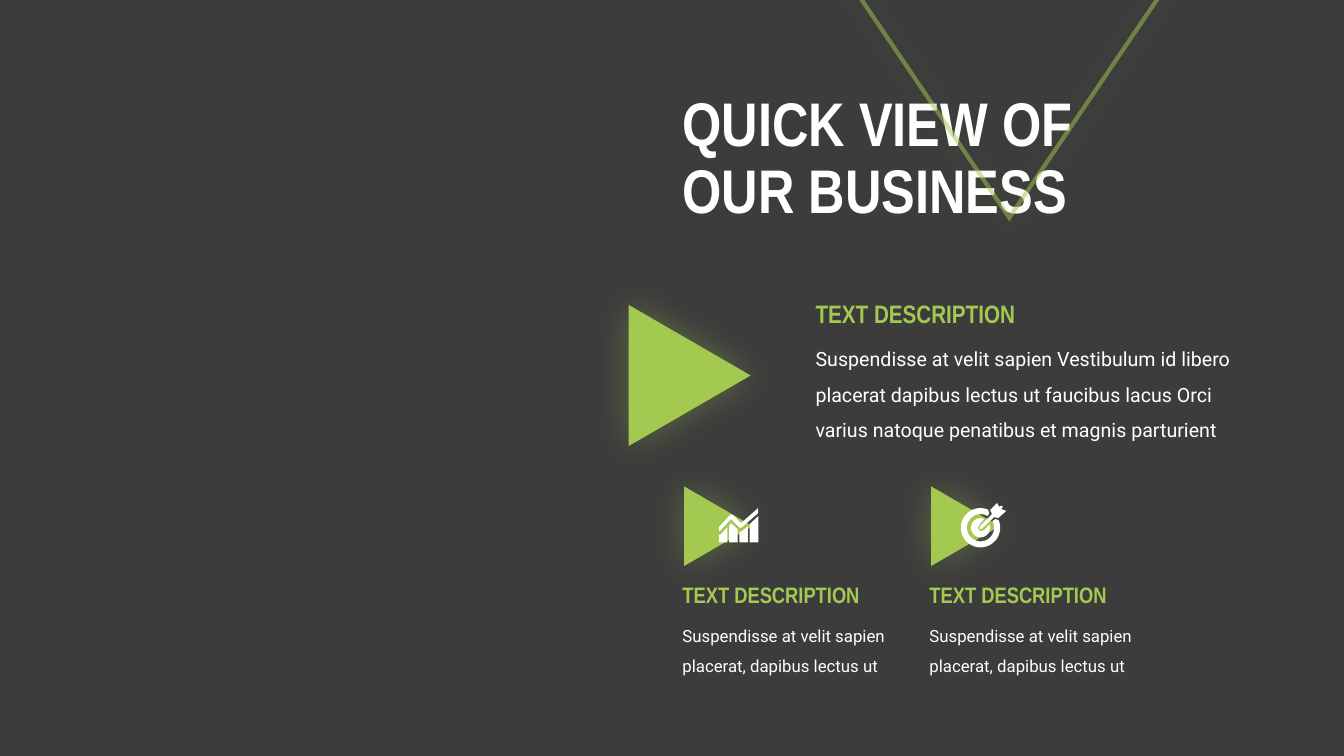
from math import cos, radians, sin

from lxml.etree import SubElement as Sub
from pptx import Presentation
from pptx.dml.color import RGBColor as Rgb
from pptx.enum.shapes import MSO_SHAPE as Shape
from pptx.enum.text import MSO_ANCHOR as Anchor, MSO_AUTO_SIZE as Fit
from pptx.oxml.ns import qn
from pptx.util import Inches, Pt

COLS, ROWS = 133.3, 75  # grid cells of a tenth of an inch
CELL = Inches(0.1)
FINE = 100  # steps per cell in an outline

INK = {"back": "3C3C3C", "lime": "A3C951", "white": "FFFFFF"}
TITLE = dict(name="Arial Narrow", size=Pt(44), bold=True)
HEAD = dict(name="Arial Narrow", size=Pt(18), bold=True)
BODY = dict(name="Roboto", size=Pt(14))
SMALL = dict(size=Pt(16))
TINY = dict(size=Pt(12))

LABEL = "TEXT DESCRIPTION"
LONG = ("Suspendisse at velit sapien Vestibulum id libero placerat dapibus "
        "lectus ut faucibus lacus Orci varius natoque penatibus et magnis parturient")
SHORT = "Suspendisse at velit sapien placerat, dapibus lectus ut"


def arc(mid, r, start, end, steps=40):
    """Points on a circle, angles in degrees, clockwise from the right."""
    turn = [radians(start + (end - start) * i / steps) for i in range(steps + 1)]
    return [(mid[0] + r * cos(a), mid[1] + r * sin(a)) for a in turn]


class Page:
    def __init__(self):
        self.deck = Presentation()
        self.deck.slide_width = int(COLS * CELL)
        self.deck.slide_height = ROWS * CELL
        self.slide = self.deck.slides.add_slide(self.deck.slide_layouts[6])
        self.shapes = self.slide.shapes
        self.paint(self.slide.background.fill, "back")

    def paint(self, fill, ink):
        fill.solid()
        fill.fore_color.rgb = Rgb.from_string(INK[ink])

    def text(self, words, at, style, ink="white", gap=1.0, fit=Fit.SHAPE_TO_FIT_TEXT,
             anchor=Anchor.TOP):
        box = self.shapes.add_textbox(*(int(n * CELL) for n in at))
        frame = box.text_frame
        frame.text = words
        for key, val in dict(word_wrap=True, auto_size=fit, vertical_anchor=anchor).items():
            setattr(frame, key, val)
        para = frame.paragraphs[0]
        para.line_spacing = gap
        for run in para.runs:
            for key, val in style.items():
                setattr(run.font, key, val)
            run.font.color.rgb = Rgb.from_string(INK[ink])

    def glow(self, shape):
        """Add a soft lime shadow with no offset."""
        shape.shadow.inherit = False
        node = shape._element.spPr.find(qn("a:effectLst"))
        cast = Sub(node, qn("a:outerShdw"), blurRad=str(Pt(25)), dist="0", dir="0",
                   algn="ctr", rotWithShape="0")
        tint = Sub(cast, qn("a:srgbClr"), val=INK["lime"])
        Sub(tint, qn("a:alpha"), val="35000")

    def wedge(self, at, turn, solid=True):
        """Add a glowing triangle, filled or as a half-clear outline."""
        tri = self.shapes.add_shape(Shape.ISOSCELES_TRIANGLE, *(int(n * CELL) for n in at))
        tri.rotation = turn
        if solid:
            self.paint(tri.fill, "lime")
            tri.line.fill.background()
        else:
            tri.fill.background()
            self.paint(tri.line.fill, "lime")
            tri.line.width = Pt(3)
            line = tri._element.spPr.find(qn("a:ln"))
            Sub(line.find(".//" + qn("a:srgbClr")), qn("a:alpha"), val="50000")
            Sub(line, qn("a:miter"), lim="800000")
        self.glow(tri)

    def icon(self, parts):
        """Group white outlines, each a list of points."""
        group = self.shapes.add_group_shape()
        for part in parts:
            dots = [(x * FINE, y * FINE) for x, y in part]
            pen = group.shapes.build_freeform(*dots[0], scale=CELL / FINE)
            pen.add_line_segments(dots[1:], close=True)
            form = pen.convert_to_shape()
            self.paint(form.fill, "white")
            form.line.fill.background()
            form.shadow.inherit = False

    def card(self, left):
        self.wedge((left + 0.6, 48.8, 7.9, 6.8), 90)
        self.text(SHORT, (left, 60.6, 23.2, 6.7), BODY | TINY, gap=1.5)
        self.text(LABEL, (left, 57.2, 22.1, 3.7), HEAD | SMALL, "lime")


def chart():
    """Bars under a rising line."""
    left, base, step, wide = 71.3, 53.8, 1.02, 0.85
    tops = [[(0, 53), (0.1, 53.1), (wide, 52.3)],
            [(0, 52.1), (0.2, 51.9), (wide, 52.5)],
            [(0, 52.7), (0.1, 52.8), (wide, 52.2)],
            [(0, 52), (wide, 51.2)]]
    bars = []
    for i, top in enumerate(tops):
        x = left + i * step
        bars.append([(x, base)] + [(x + dx, y) for dx, y in top] + [(x + wide, base)])
    trend = [(75.2, 50.4), (73.5, 51.9), (72.7, 51.1), (72.5, 51.05), (72.4, 51.1),
             (71.3, 52.3), (71.3, 52.7), (71.4, 52.7), (72.5, 51.5), (73.3, 52.3),
             (73.45, 52.38), (73.6, 52.3), (75.2, 50.9)]
    return bars + [trend]


def target():
    """A ring and a disc, both notched, with a dart."""
    mid = (97.25, 52.35)
    ring = (arc(mid, 1.95, -23, 293) + [(98.1, 51)]
            + arc(mid, 1.35, 300, -29) + [(98.7, 51.5)])
    dart = [(99.4, 50.2), (99.2, 50.2), (99.1, 50.3), (98.9, 49.9), (98.2, 50.6),
            (98.4, 51), (97.2, 52.2), (97.15, 52.3), (97.2, 52.45), (97.3, 52.5),
            (97.4, 52.45), (98.6, 51.3), (99, 51.4), (99.8, 50.7), (99.3, 50.5),
            (99.4, 50.4), (99.45, 50.3)]
    disc = arc(mid, 0.95, -21, 292) + [(97.1, 52.1), (97, 52.35), (97.1, 52.6),
                                       (97.35, 52.7), (97.6, 52.6)]
    return [ring, dart, disc]


def main():
    page = Page()
    page.text("QUICK VIEW OF\vOUR BUSINESS", (66.7, 8, 56.2, 15.8), TITLE,
              gap=0.9, fit=Fit.NONE, anchor=Anchor.MIDDLE)
    page.wedge((80.8, -6.9, 38.6, 28.5), 180, solid=False)
    page.wedge((61.4, 31.2, 14, 12.1), 90)
    page.text(LONG, (79.9, 32.8, 45.5, 11.2), BODY, gap=1.5)
    page.text(LABEL, (79.9, 29.1, 24.5, 4), HEAD, "lime")
    for i in range(2):
        page.card(66.7 + 24.5 * i)
    for parts in (chart(), target()):
        page.icon(parts)
    page.deck.save("out.pptx")


if __name__ == "__main__":
    main()
